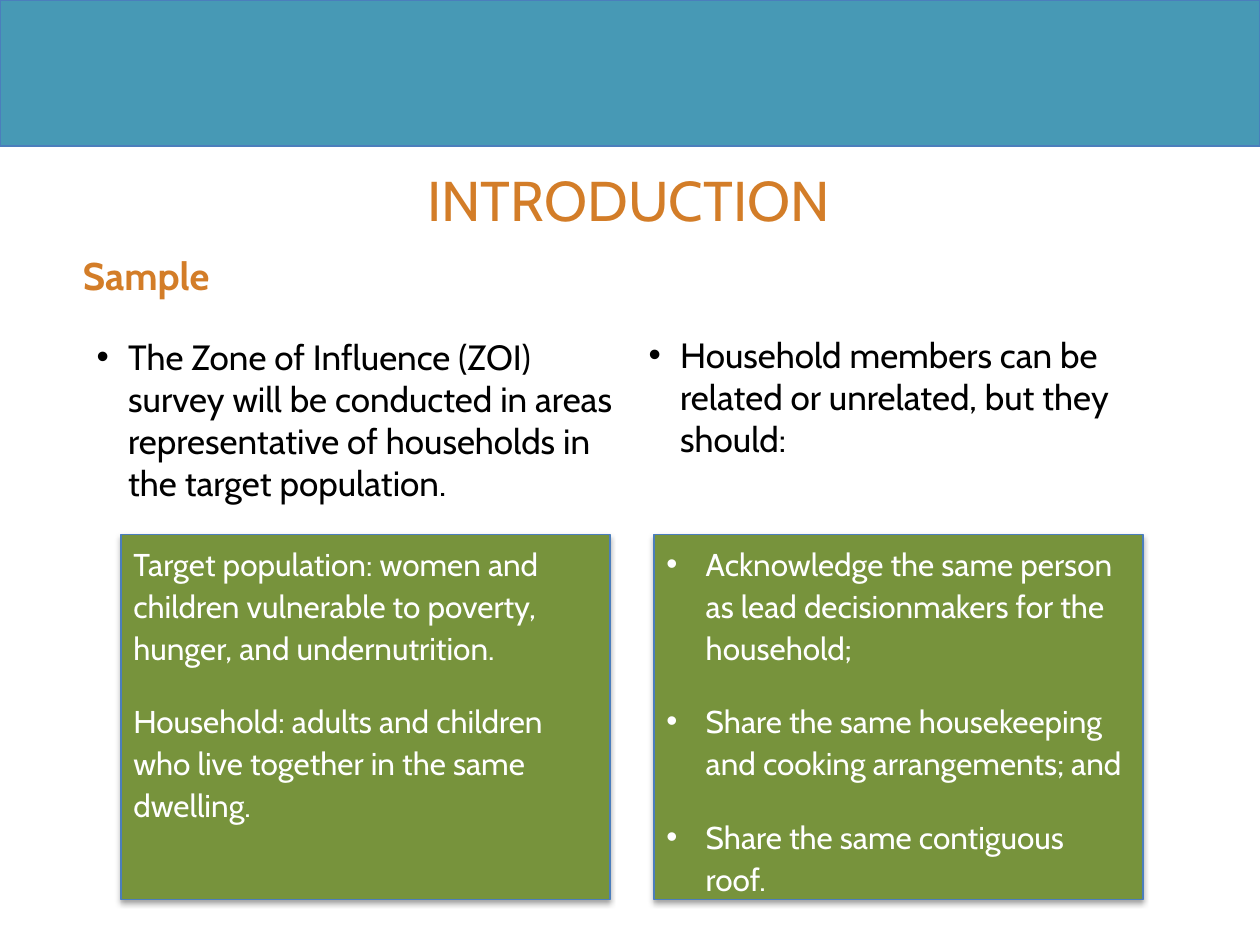
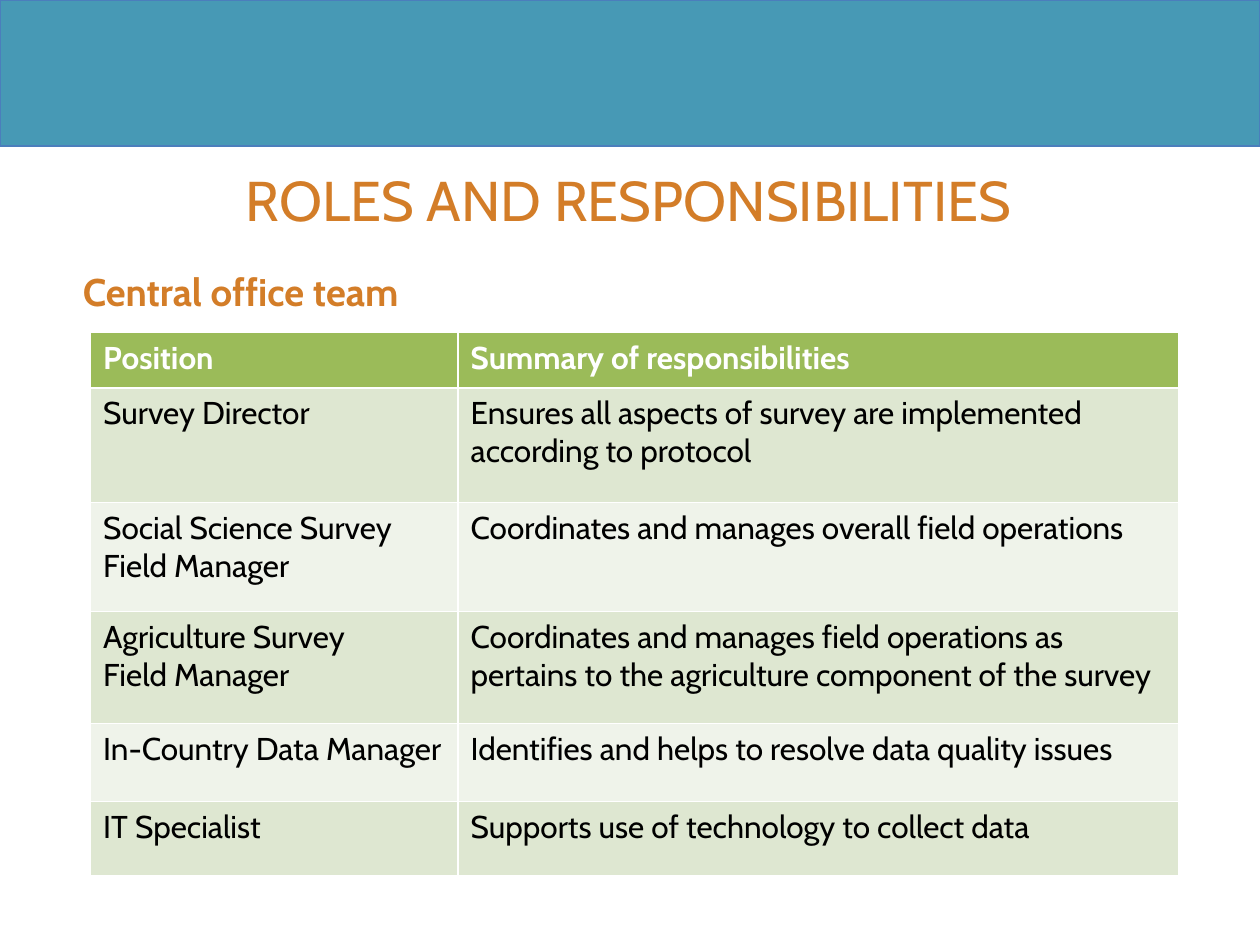
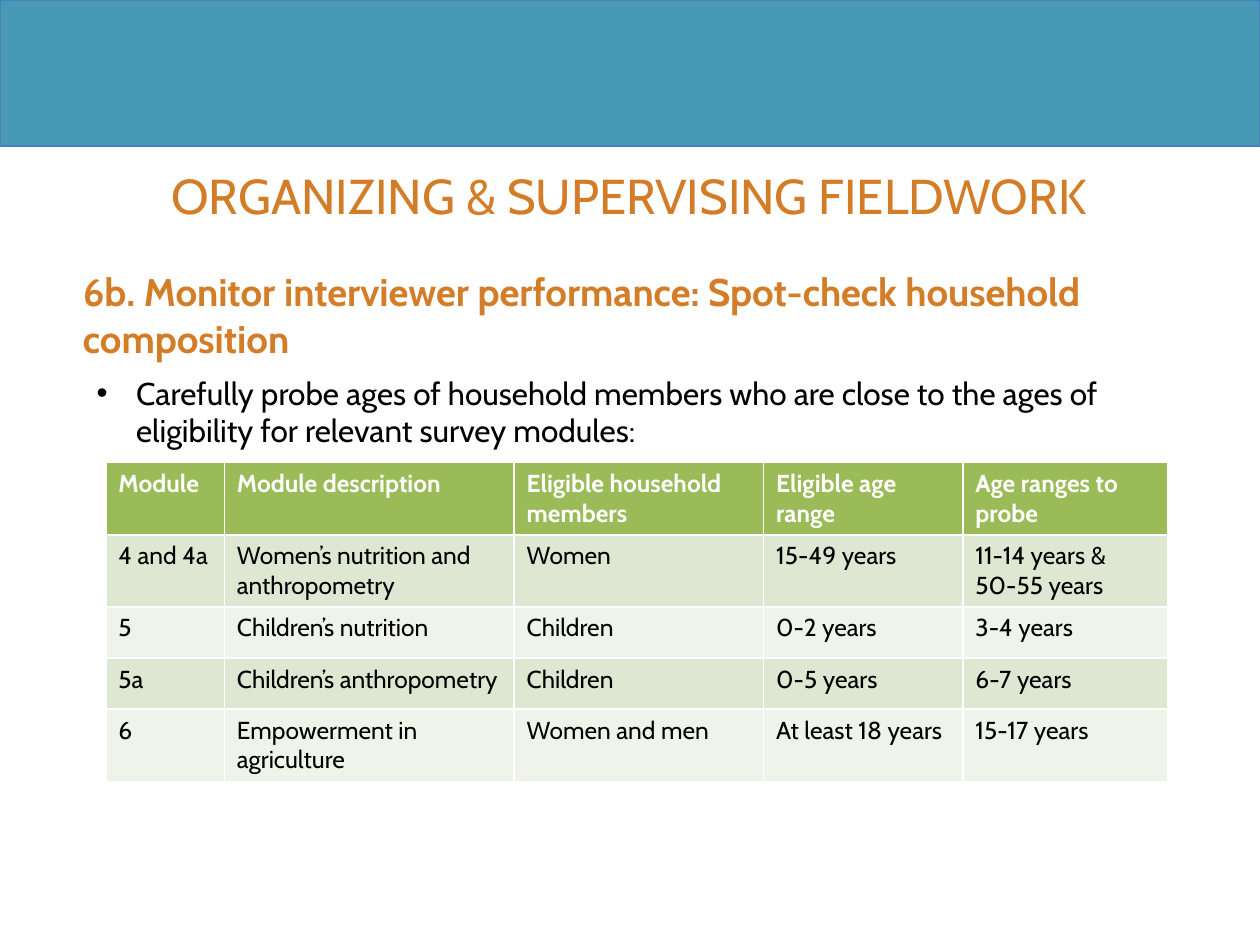
"""Build three survey training slides: sample, central office roles and household spot checks."""
from lxml import etree
from pptx import Presentation
from pptx.dml import color
from pptx.enum import shapes, text
from pptx.oxml import ns
from pptx.util import Pt

FONT = "Cabin"
BLUE, OUTLINE, ORANGE = "4799B5", "4B7EBC", "D37D28"
DARK_GREEN, HEADER_GREEN = "77933C", "9BBB59"
ROW_GREENS = ("DEE7D1", "EFF3EA")
WHITE, BLACK = "FFFFFF", "000000"


def rgb(value):
    return color.RGBColor.from_string(value)


def paint(part, fill):
    part.fill.solid()
    part.fill.fore_color.rgb = rgb(fill)


def style(paragraph, size, ink, bold=False):
    font = paragraph.font
    font.name, font.size, font.bold = FONT, Pt(size), bold
    font.color.rgb = rgb(ink)


def add_bullet(paragraph, indent):
    properties = paragraph._p.get_or_add_pPr()
    properties.set("marL", str(Pt(indent)))
    properties.set("indent", str(-Pt(indent)))
    etree.SubElement(properties, ns.qn("a:buFont"), typeface="Arial")
    etree.SubElement(properties, ns.qn("a:buChar"), char="•")


def write(frame, lines, size, ink, bold=False, indent=0, leading=None):
    """Fill a frame with paragraphs, bulleted when an indent is given."""
    frame.word_wrap = True
    frame.vertical_anchor = text.MSO_ANCHOR.TOP
    frame.text = "\n".join(lines)
    for number, paragraph in enumerate(frame.paragraphs):
        paragraph.alignment = text.PP_ALIGN.LEFT
        if leading:
            paragraph.line_spacing = Pt(leading)
        if number:
            paragraph.space_before = Pt(18)
        if indent:
            add_bullet(paragraph, indent)
        style(paragraph, size, ink, bold)


def add_text(slide, place, line, size, ink, **options):
    box = slide.shapes.add_textbox(*map(Pt, place))
    write(box.text_frame, [line], size, ink, **options)


def add_rectangle(slide, place, fill):
    rectangle = slide.shapes.add_shape(shapes.MSO_SHAPE.RECTANGLE, *map(Pt, place))
    rectangle.shadow.inherit = False
    paint(rectangle, fill)
    rectangle.line.color.rgb = rgb(OUTLINE)
    rectangle.line.width = Pt(0.75)
    return rectangle


def add_panel(slide, left, lines, indent=0):
    """Add a green panel with a soft shadow below it."""
    panel = add_rectangle(slide, (left, 305.3, 279.4, 208.8), DARK_GREEN)
    effects = panel.element.spPr.find(ns.qn("a:effectLst"))
    shadow = etree.SubElement(effects, ns.qn("a:outerShdw"), blurRad=str(Pt(3.1)),
                              dist=str(Pt(1.8)), dir="5400000", rotWithShape="0")
    tint = etree.SubElement(shadow, ns.qn("a:srgbClr"), val=BLACK)
    etree.SubElement(tint, ns.qn("a:alpha"), val="35000")
    write(panel.text_frame, lines, 18, WHITE, indent=indent, leading=24)


def add_grid(slide, left, top, widths, heights, rows, size):
    """Add a table with a green header and alternating row tints."""
    frame = slide.shapes.add_table(len(rows), len(widths), Pt(left), Pt(top),
                                   Pt(sum(widths)), Pt(sum(heights)))
    grid = frame.table
    for column, width in zip(grid.columns, widths):
        column.width = Pt(width)
    for number, (row, height, entries) in enumerate(zip(grid.rows, heights, rows)):
        row.height = Pt(height)
        header = number == 0
        for cell, entry in zip(row.cells, entries):
            paint(cell, HEADER_GREEN if header else ROW_GREENS[(number - 1) % 2])
            cell.text = entry
            for paragraph in cell.text_frame.paragraphs:
                style(paragraph, size, WHITE if header else BLACK, header)


def add_slide(deck, heading, subheading, size=32, subheading_top=149.8):
    """Add a slide with the blue band, its title and an orange subheading."""
    slide = deck.slides.add_slide(deck.slide_layouts[5])
    add_rectangle(slide, (0, 0, 720, 83.5), BLUE)
    title = slide.shapes.title
    title.left, title.top, title.width, title.height = map(Pt, (35.3, 90.7, 648, 46.8))
    frame = title.text_frame
    frame.auto_size = text.MSO_AUTO_SIZE.NONE
    frame.margin_bottom = 0
    write(frame, [heading], size, ORANGE)
    frame.paragraphs[0].alignment = text.PP_ALIGN.CENTER
    add_text(slide, (40.3, subheading_top, 642.2, 35.3), subheading, 22, ORANGE, bold=True)
    return slide


def build_sample(deck):
    slide = add_slide(deck, "INTRODUCTION", "Sample", subheading_top=140.4)
    add_text(slide, (48.2, 187.9, 319.7, 110),
             "The Zone of Influence (ZOI) survey will be conducted in areas "
             "representative of households in the target population.",
             20, BLACK, indent=18, leading=24)
    add_text(slide, (363.6, 187.2, 319.7, 110),
             "Household members can be related or unrelated, but they should:",
             20, BLACK, indent=18, leading=24)
    add_panel(slide, 69.1, [
        "Target population: women and children vulnerable to poverty, hunger, "
        "and undernutrition.",
        "Household: adults and children who live together in the same dwelling."])
    add_panel(slide, 373.7, [
        "Acknowledge the same person as lead decisionmakers for the household;",
        "Share the same housekeeping and cooking arrangements; and",
        "Share the same contiguous roof."], indent=22.5)


def build_roles(deck):
    slide = add_slide(deck, "ROLES AND RESPONSIBILITIES", "Central office team")
    add_grid(slide, 51.8, 190.1, (210, 412), (31.5, 65.5, 62.5, 64, 44.5, 42.5), [
        ("Position", "Summary of responsibilities"),
        ("Survey Director",
         "Ensures all aspects of survey are implemented according to protocol"),
        ("Social Science Survey\nField Manager",
         "Coordinates and manages overall field operations"),
        ("Agriculture Survey\nField Manager",
         "Coordinates and manages field operations as pertains to the agriculture "
         "component of the survey"),
        ("In-Country Data Manager", "Identifies and helps to resolve data quality issues"),
        ("IT Specialist", "Supports use of technology to collect data")], 18)


def build_spot_checks(deck):
    slide = add_slide(
        deck, "ORGANIZING & SUPERVISING FIELDWORK",
        "6b. Monitor interviewer performance: Spot-check household composition", size=28)
    add_text(slide, (48.2, 210, 637.9, 52),
             "Carefully probe ages of household members who are close to the ages of "
             "eligibility for relevant survey modules:", 18, BLACK, indent=22.5)
    add_grid(slide, 60.5, 264.3, (67.7, 165.6, 142.6, 113.8, 117.4),
             (41.3, 41.3, 29.2, 29.2, 41.3), [
        ("Module", "Module description", "Eligible household members",
         "Eligible age range", "Age ranges to probe"),
        ("4 and 4a", "Women’s nutrition and anthropometry", "Women",
         "15-49 years", "11-14 years &\n50-55 years"),
        ("5", "Children’s nutrition", "Children", "0-2 years", "3-4 years"),
        ("5a", "Children’s anthropometry", "Children", "0-5 years", "6-7 years"),
        ("6", "Empowerment in agriculture", "Women and men",
         "At least 18 years", "15-17 years")], 14)


def main():
    deck = Presentation()
    deck.slide_width, deck.slide_height = Pt(720), Pt(540)
    build_sample(deck)
    build_roles(deck)
    build_spot_checks(deck)
    deck.save("out.pptx")


if __name__ == "__main__":
    main()
